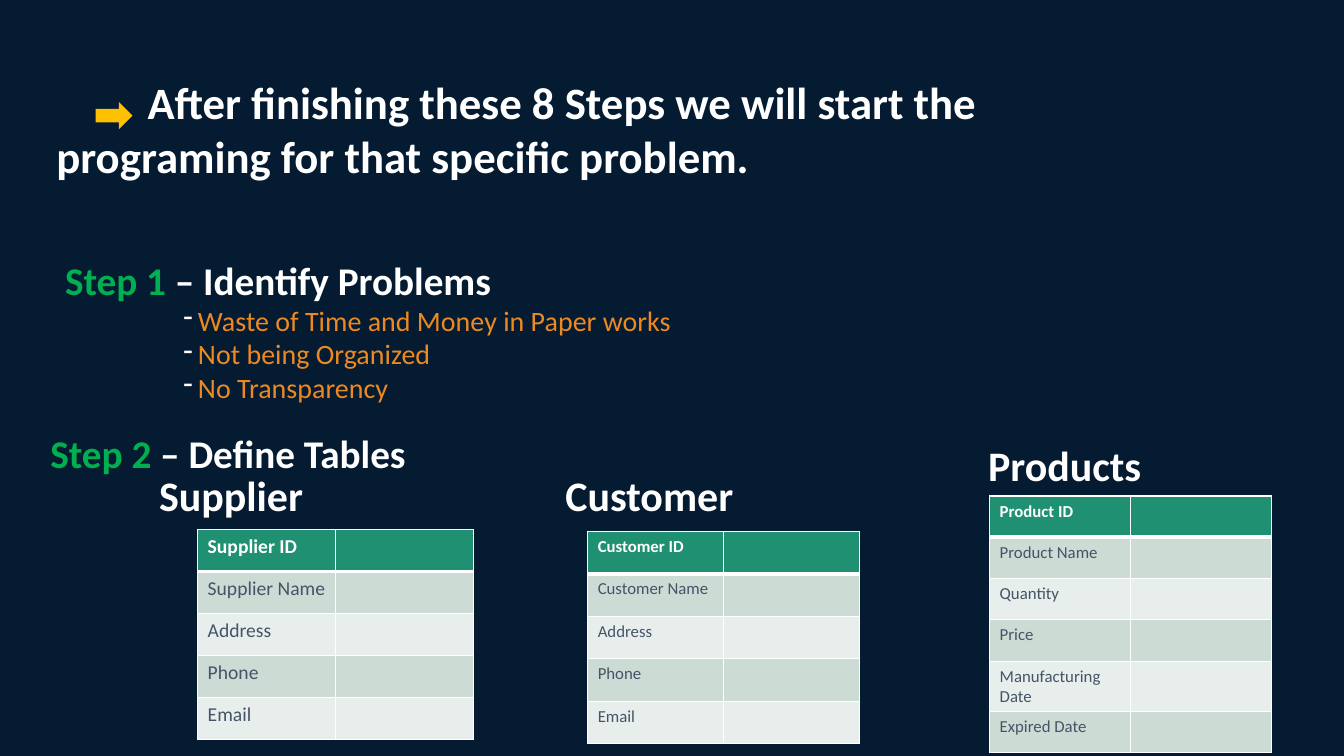
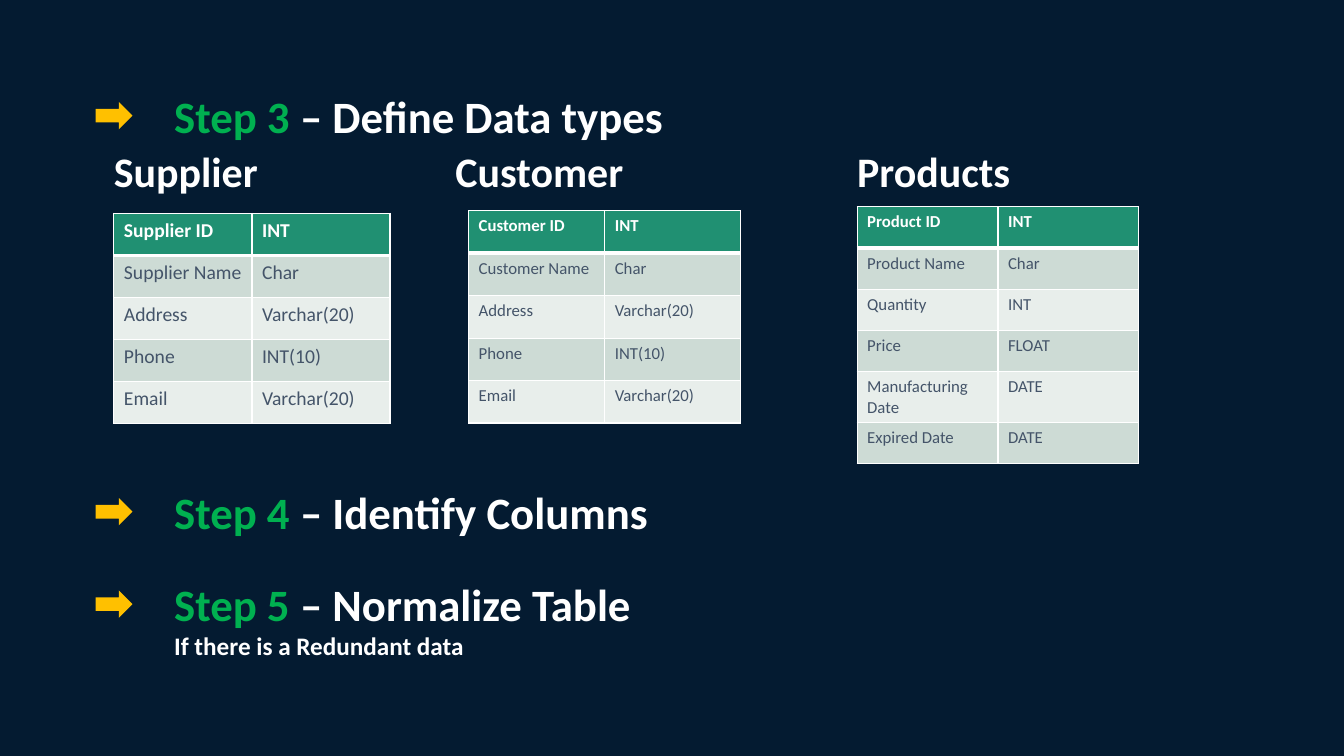
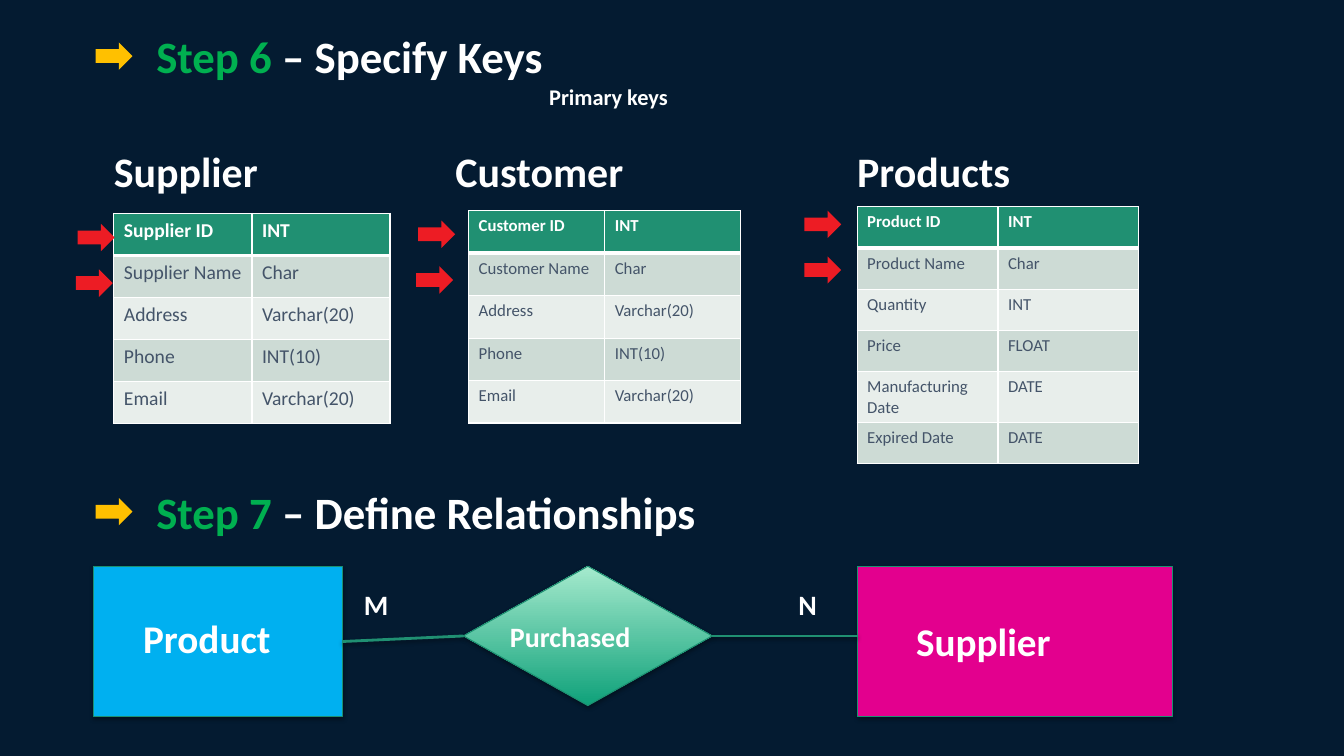
from pptx import Presentation
from pptx.dml.color import RGBColor as Rgb
from pptx.enum.shapes import MSO_CONNECTOR as Link, MSO_SHAPE as Shape
from pptx.oxml import parse_xml as to_xml
from pptx.oxml.ns import nsdecls
from pptx.util import Cm, Pt

HUES = {
    "navy": "041B31", "white": "FFFFFF", "green": "00B050",
    "gold": "FFC000", "orange": "EC8921", "red": "ED1C24",
    "head": "209072", "odd": "CDDBD5", "even": "E8EEEB", "slate": "445469",
    "blue": "00B0F0", "pink": "E3008E", "edge": "1D9071",
    "deep": "0FA17A", "mint": "A5EACD",
}
FONT = "Calibri"
PERSON = [("Address", "Varchar(20)"), ("Phone", "INT(10)"), ("Email", "Varchar(20)")]
TABLES = {
    "Supplier": (14, 3.48, 1.06, [("Supplier ID", "INT"), ("Supplier Name", "Char"), *PERSON]),
    "Customer": (12, 3.43, 1.07, [("Customer ID", "INT"), ("Customer Name", "Char"), *PERSON]),
    "Products": (12, 3.55, 1.04, [
        ("Product ID", "INT"), ("Product Name", "Char"), ("Quantity", "INT"),
        ("Price", "FLOAT"), ("Manufacturing Date", "DATE"), ("Expired Date", "DATE"),
    ]),
}
PLAIN = {
    "Supplier": (4.01, 12.5, 4.98, 13.34),
    "Customer": (14.25, 12.5, 14.81, 13.39),
    "Products": (24.9, 11.73, 24.94, 12.5),
}
TYPED = {
    "Supplier": (2.87, 4.32, 2.87, 5.38),
    "Customer": (11.48, 4.32, 11.81, 5.31),
    "Products": (21.6, 4.32, 21.6, 5.21),
}


def rgb(hue):
    return Rgb.from_string(HUES[hue])


def write(frame, text, lead="", size=32, hue="white", bold=True,
          first=0, left=0, dash=False, before=0, line=None):
    para = frame.paragraphs[0]
    if para.runs:
        para = frame.add_paragraph()
    para.space_before = Pt(before)
    if line:
        para.line_spacing = Pt(line)
    props = para._p.get_or_add_pPr()
    props.set("marL", str(Cm(left)))
    props.set("indent", str(Cm(first)))
    if dash:
        props.append(to_xml(
            f'<a:buClr {nsdecls("a")}><a:srgbClr val="{HUES["white"]}"/></a:buClr>'))
        props.append(to_xml(f'<a:buChar {nsdecls("a")} char="-"/>'))
    for part, tone in ((lead, "green"), (text, hue)):
        if part:
            run = para.add_run()
            run.text = part
            run.font.name = FONT
            run.font.size = Pt(size)
            run.font.bold = bold
            run.font.color.rgb = rgb(tone)


def add_box(slide, x, y, wide=27.64, high=1.37):
    frame = slide.shapes.add_textbox(Cm(x), Cm(y), Cm(wide), Cm(high)).text_frame
    frame.word_wrap = True
    frame.margin_left = frame.margin_right = frame.margin_top = frame.margin_bottom = 0
    return frame


def add_arrow(slide, x, y, hue="gold"):
    arrow = slide.shapes.add_shape(
        Shape.RIGHT_ARROW, Cm(x), Cm(y), Cm(0.93), Cm(0.69))
    arrow.shadow.inherit = False
    arrow.fill.solid()
    arrow.fill.fore_color.rgb = rgb(hue)
    arrow.line.fill.background()


def add_step(slide, num, title, x, y):
    add_arrow(slide, 2.41, y)
    frame = add_box(slide, x, y - 0.34)
    write(frame, title, lead=f"Step {num} ")
    return frame


def add_edge(cell, side, width):
    cell._tc.get_or_add_tcPr().append(to_xml(
        f'<a:ln{side} {nsdecls("a")} w="{Pt(width)}"><a:solidFill>'
        f'<a:srgbClr val="{HUES["white"]}"/></a:solidFill></a:ln{side}>'))


def style_cell(cell, row):
    for side in "LRTB":
        thick = (row, side) in ((0, "B"), (1, "T"))
        add_edge(cell, side, 3 if thick else 1)
    cell.fill.solid()
    cell.fill.fore_color.rgb = rgb("head" if row == 0 else "odd" if row % 2 else "even")


def add_grid(slide, name, x, y, typed):
    size, wide, high, fields = TABLES[name]
    count = len(fields)
    grid = slide.shapes.add_table(
        count, 2, Cm(x), Cm(y), Cm(2 * wide), Cm(count * high)).table
    for row, field in enumerate(fields):
        for col, text in enumerate(field):
            cell = grid.cell(row, col)
            style_cell(cell, row)
            if typed or col == 0:
                write(cell.text_frame, text, size=size, bold=row == 0,
                      hue="slate" if row else "white")


def add_tables(slide, places, typed=True):
    for name, (head_x, head_y, x, y) in places.items():
        add_grid(slide, name, x, y, typed)
        write(add_box(slide, head_x, head_y, 5.5, 0.61), name, size=30, line=17.3)


def add_shade(item, alpha, dist):
    props = item._element.spPr
    props.append(to_xml(
        f'<a:effectLst {nsdecls("a")}><a:outerShdw blurRad="{Pt(3.1)}" '
        f'dist="{Pt(dist)}" dir="5400000" rotWithShape="0"><a:srgbClr val="000000">'
        f'<a:alpha val="{alpha}000"/></a:srgbClr></a:outerShdw></a:effectLst>'))


def add_node(slide, kind, x, wide, high, hue=None):
    node = slide.shapes.add_shape(kind, Cm(x), Cm(14.27), Cm(wide), Cm(high))
    if hue:
        node.fill.solid()
        node.fill.fore_color.rgb = rgb(hue)
    else:
        node.fill.gradient()
        node.fill.gradient_angle = 90
        for stop, tone in zip(node.fill.gradient_stops, ("deep", "mint")):
            stop.color.rgb = rgb(tone)
    node.line.color.rgb = rgb("edge")
    node.line.width = Pt(0.75)
    add_shade(node, 35, 1.8)
    return node


def add_link(slide, start, site, end_x, end_y):
    link = slide.shapes.add_connector(Link.STRAIGHT, 0, 0, end_x, end_y)
    link.begin_connect(start, site)
    link.line.color.rgb = rgb("head")
    link.line.width = Pt(2)
    add_shade(link, 38, 1.6)
    return link


def draw_tables(slide):
    add_arrow(slide, 2.41, 2.57)
    write(add_box(slide, 1.42, 1.88, high=2.74),
          "After finishing these 8 Steps we will start the programing "
          "for that specific problem.", first=2.3)
    add_tables(slide, PLAIN, typed=False)
    steps = add_box(slide, 1.27, 6.45, 30.73, 5.59)
    write(steps, "– Identify Problems", lead="Step 1 ", size=28, left=0.37)
    for text in ("Waste of Time and Money in Paper works",
                 "Not being Organized", "No Transparency"):
        write(steps, text, size=20, hue="orange", bold=False,
              left=3.72, first=-0.37, dash=True)
    write(steps, "– Define Tables", lead="Step 2 ", size=28, before=18)


def draw_types(slide):
    add_step(slide, 3, "– Define Data types", 4.39, 2.57)
    add_tables(slide, TYPED)
    add_step(slide, 4, "– Identify Columns", 4.39, 12.55)
    frame = add_step(slide, 5, "– Normalize Table", 4.39, 14.88)
    write(frame, "If there is a Redundant data", size=18)


def draw_keys(slide):
    frame = add_step(slide, 6, "– Specify Keys", 3.94, 1.07)
    write(frame, "Primary keys", size=16, left=9.9)
    add_tables(slide, TYPED)
    add_step(slide, 7, "– Define Relationships", 3.94, 12.55)
    for x, y in ((1.96, 5.64), (10.54, 5.56), (20.27, 5.31)):
        shift = 0 if x > 20 else 0.05
        add_arrow(slide, x, y, "red")
        add_arrow(slide, x - shift, y + 1.15, "red")

    product = add_node(slide, Shape.RECTANGLE, 2.36, 6.27, 3.79, "blue")
    add_node(slide, Shape.RECTANGLE, 21.62, 7.92, 3.79, "pink")
    bought = add_node(slide, Shape.DIAMOND, 11.68, 6.27, 3.51)
    for text, size, x, y in (
        ("Product", 28, 3.61, 15.49), ("Supplier", 28, 23.09, 15.55),
        ("Purchased", 20, 12.85, 15.6), ("M", 20, 9.17, 14.81), ("N", 20, 20.12, 14.81),
    ):
        write(add_box(slide, x, y, 4, size * 0.04), text, size=size)
    add_link(slide, bought, 3, Cm(21.62), bought.top + bought.height // 2)
    add_link(slide, bought, 1, 0, 0).end_connect(product, 3)


def main():
    deck = Presentation()
    deck.slide_width, deck.slide_height = Cm(33.87), Cm(19.05)
    back = deck.slide_master.background.fill
    back.solid()
    back.fore_color.rgb = rgb("navy")
    for draw in (draw_tables, draw_types, draw_keys):
        draw(deck.slides.add_slide(deck.slide_layouts[6]))
    deck.save("out.pptx")


if __name__ == "__main__":
    main()
